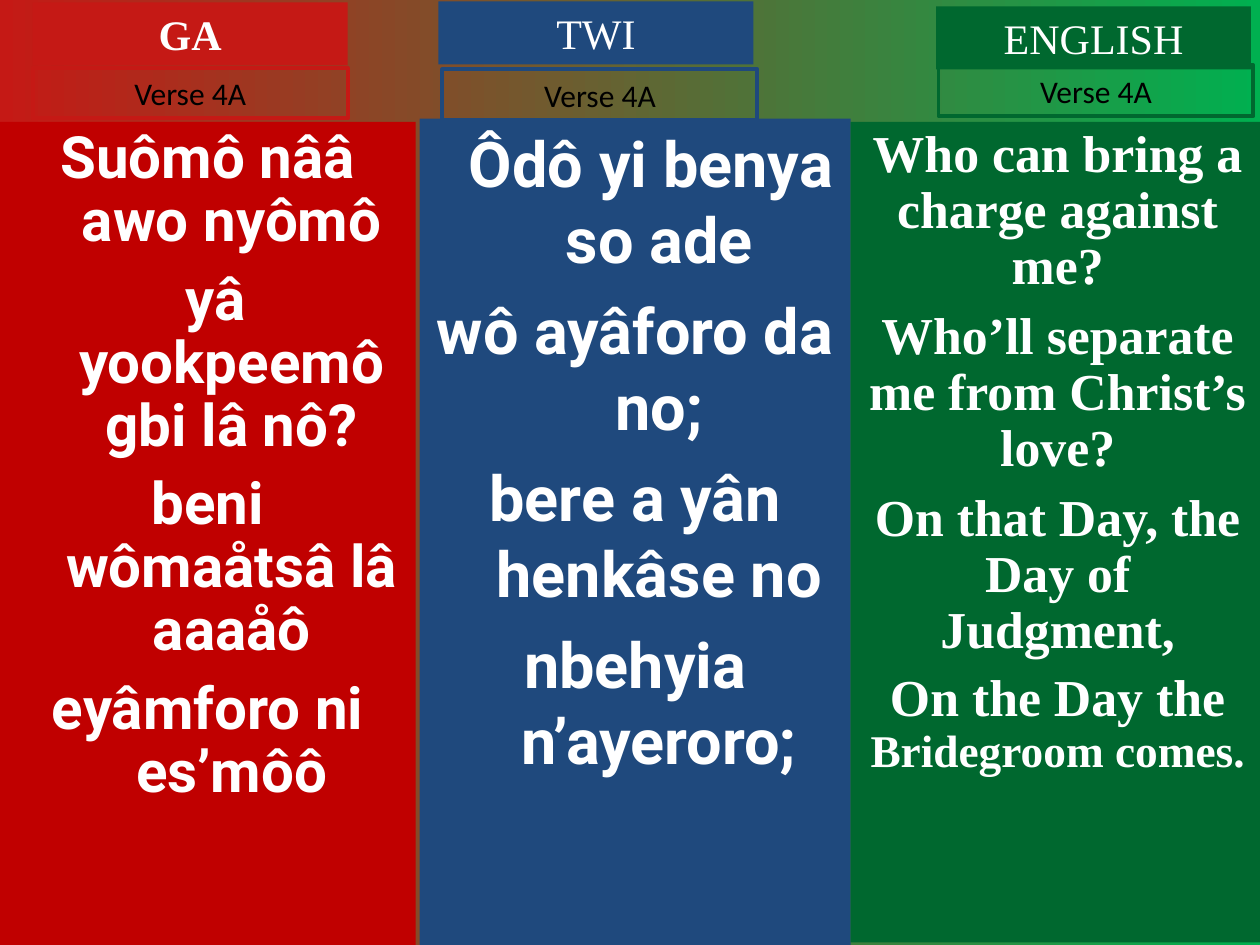
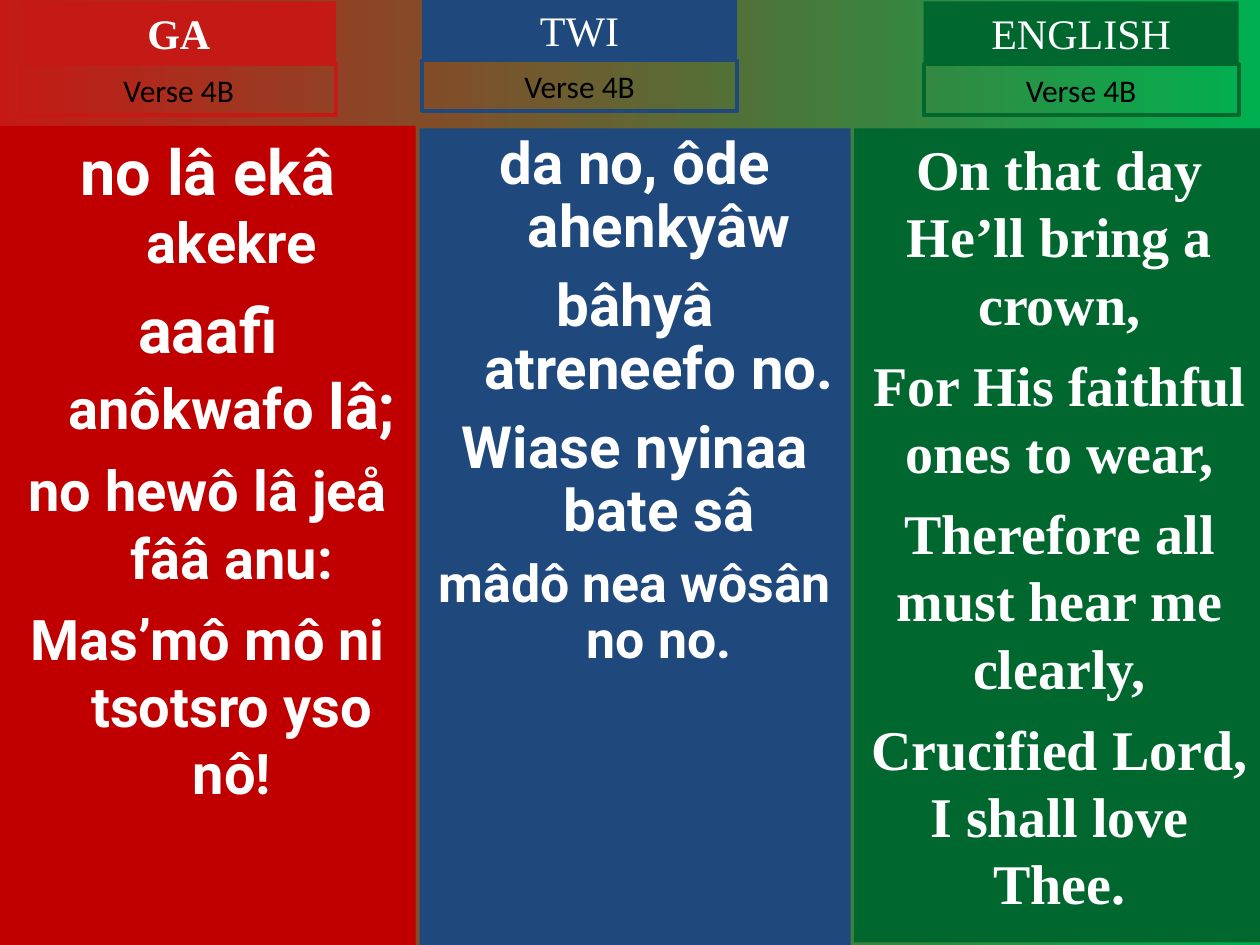
from dataclasses import dataclass

from pptx import Presentation
from pptx.dml.color import RGBColor as Rgb
from pptx.enum.shapes import MSO_SHAPE as Shape
from pptx.enum.text import MSO_ANCHOR as Anchor, MSO_AUTO_SIZE as AutoSize, PP_ALIGN as Align
from pptx.util import Cm, Pt


@dataclass(frozen=True)
class Theme:
    white: str = "FFFFFF"
    black: str = "000000"
    fade: tuple = ("C51915", "00B050")
    title_font: str = "Times New Roman"
    verse_font: str = "Calibri"
    title_size: float = 24
    verse_size: float = 18
    outline: float = 2.25
    space_ratio: float = 0.26
    label_width: float = 6.35
    title_height: float = 1.27
    verse_height: float = 1.02
    hanging: float = 0.97


@dataclass(frozen=True)
class Language:
    name: str
    band: str
    label: str
    font: str
    hangs: bool
    bold_title: bool
    right: float
    bottom: float


@dataclass(frozen=True)
class Column:
    left: float
    top: float
    title_at: tuple
    verse_at: tuple
    stanza: list
    line_spacing: float = 1.0


THEME = Theme()
LANGUAGES = (
    Language("GA", "C00000", "C51915", "Roboto", True, True, 8.38, 19.05),
    Language("TWI", "1F497D", "1F497D", "Roboto", True, False, 17.15, 19.05),
    Language("ENGLISH", "00682F", "00682F", "Times New Roman", False, False, 25.5, 19.0),
)


def lines(size, *texts):
    return [[(text, size)] for text in texts]


VERSES = {
    "Verse 4A": (
        Column(0, 2.46, (0.66, 0.05), (0.66, 1.37), lines(
            33.3,
            "Suômô nââ awo nyômô",
            "yâ yookpeemô gbi lâ nô?",
            "beni wômaåtsâ lâ aaaåô",
            "eyâmforo ni es’môô"), 0.9),
        Column(8.46, 2.39, (8.84, 0.03), (8.92, 1.4), lines(
            36,
            "Ôdô yi benya so ade",
            "wô ayâforo da no;",
            "bere a yân henkâse no",
            "nbehyia n’ayeroro;")),
        Column(17.15, 2.46, (18.87, 0.13), (18.92, 1.32), lines(
            29.6,
            "Who can bring a charge against me?",
            "Who’ll separate me from Christ’s love?",
            "On that Day, the Day of Judgment,",
        ) + [[("On the Day the ", 29.6), ("Bridegroom comes.", 25.9)]], 0.9),
    ),
    "Verse 4B": (
        Column(0, 2.54, (0.43, 0.03), (0.43, 1.3), [
            [("no lâ ekâ ", 36), ("akekre", 32)],
            [("aaafi ", 36), ("anôkwafo ", 32), ("lâ;", 36)],
        ] + lines(32, "no hewô lâ jeå fââ anu:", "Mas’mô mô ni tsotsro yso nô!")),
        Column(8.46, 2.59, (8.51, -0.03), (8.51, 1.22), lines(
            33.3,
            "da no, ôde ahenkyâw",
            "bâhyâ atreneefo no.",
            "Wiase nyinaa bate sâ",
        ) + lines(29.6, "mâdô nea wôsân no no."), 0.9),
        Column(17.22, 2.59, (18.62, 0.03), (18.62, 1.3), lines(
            32,
            "On that day He’ll bring a crown,",
            "For His faithful ones to wear,",
            "Therefore all must hear me clearly,",
            "Crucified Lord, I shall love Thee.")),
    ),
}
FIRST_LINE_SHIFT = {"Ôdô yi benya so ade": 0.64, "yâ yookpeemô gbi lâ nô?": 0.3}


def paint_background(page):
    fill = page.background.fill
    fill.gradient()
    fill.gradient_angle = 0
    for stop, color, position in zip(fill.gradient_stops, THEME.fade, (0, 1)):
        stop.color.rgb = Rgb.from_string(color)
        stop.position = position


def add_box(page, left, top, width, height, fill=None, line=None):
    box = page.shapes.add_shape(Shape.RECTANGLE, Cm(left), Cm(top), Cm(width), Cm(height))
    box.shadow.inherit = False
    if fill:
        box.fill.solid()
        box.fill.fore_color.rgb = Rgb.from_string(fill)
    else:
        box.fill.background()
    if line:
        box.line.color.rgb = Rgb.from_string(line)
        box.line.width = Pt(THEME.outline)
    else:
        box.line.fill.background()
    box.text_frame.word_wrap = True
    box.text_frame.vertical_anchor = Anchor.TOP
    return box


def add_span(para, text, size, font, color, bold=False):
    para.alignment = Align.CENTER
    span = para.add_run()
    span.text = text
    span.font.size = Pt(size)
    span.font.name = font
    span.font.bold = bold
    span.font.color.rgb = Rgb.from_string(color)


def hang(para, shift):
    properties = para._p.get_or_add_pPr()
    properties.set("marL", str(Cm(THEME.hanging)))
    properties.set("indent", str(Cm(shift - THEME.hanging)))


def add_label(page, box, text, size, font, color, bold=False):
    box.text_frame.auto_size = AutoSize.SHAPE_TO_FIT_TEXT
    add_span(box.text_frame.paragraphs[0], text, size, font, color, bold)


def add_title(page, language, place):
    box = add_box(page, *place, THEME.label_width, THEME.title_height, fill=language.label)
    add_label(page, box, language.name, THEME.title_size, THEME.title_font,
              THEME.white, language.bold_title)


def add_verse_label(page, language, place, verse):
    box = add_box(page, *place, THEME.label_width, THEME.verse_height, line=language.label)
    add_label(page, box, verse, THEME.verse_size, THEME.verse_font, THEME.black)


def add_stanza(page, language, column):
    box = add_box(page, column.left, column.top, language.right - column.left,
                  language.bottom - column.top, fill=language.band)
    frame = box.text_frame
    for number, spans in enumerate(column.stanza):
        para = frame.add_paragraph() if number else frame.paragraphs[0]
        if language.hangs:
            hang(para, FIRST_LINE_SHIFT.get(spans[0][0], 0))
        para.line_spacing = column.line_spacing
        if number:
            para.space_before = Pt(round(spans[-1][1] * THEME.space_ratio))
        for text, size in spans:
            add_span(para, text, size, language.font, THEME.white, True)


def main():
    deck = Presentation()
    deck.slide_width, deck.slide_height = Cm(25.4), Cm(19.05)
    for verse, columns in VERSES.items():
        page = deck.slides.add_slide(deck.slide_layouts[6])
        paint_background(page)
        for language, column in zip(LANGUAGES, columns):
            add_stanza(page, language, column)
            add_title(page, language, column.title_at)
            add_verse_label(page, language, column.verse_at, verse)
    deck.save("out.pptx")


if __name__ == "__main__":
    main()
